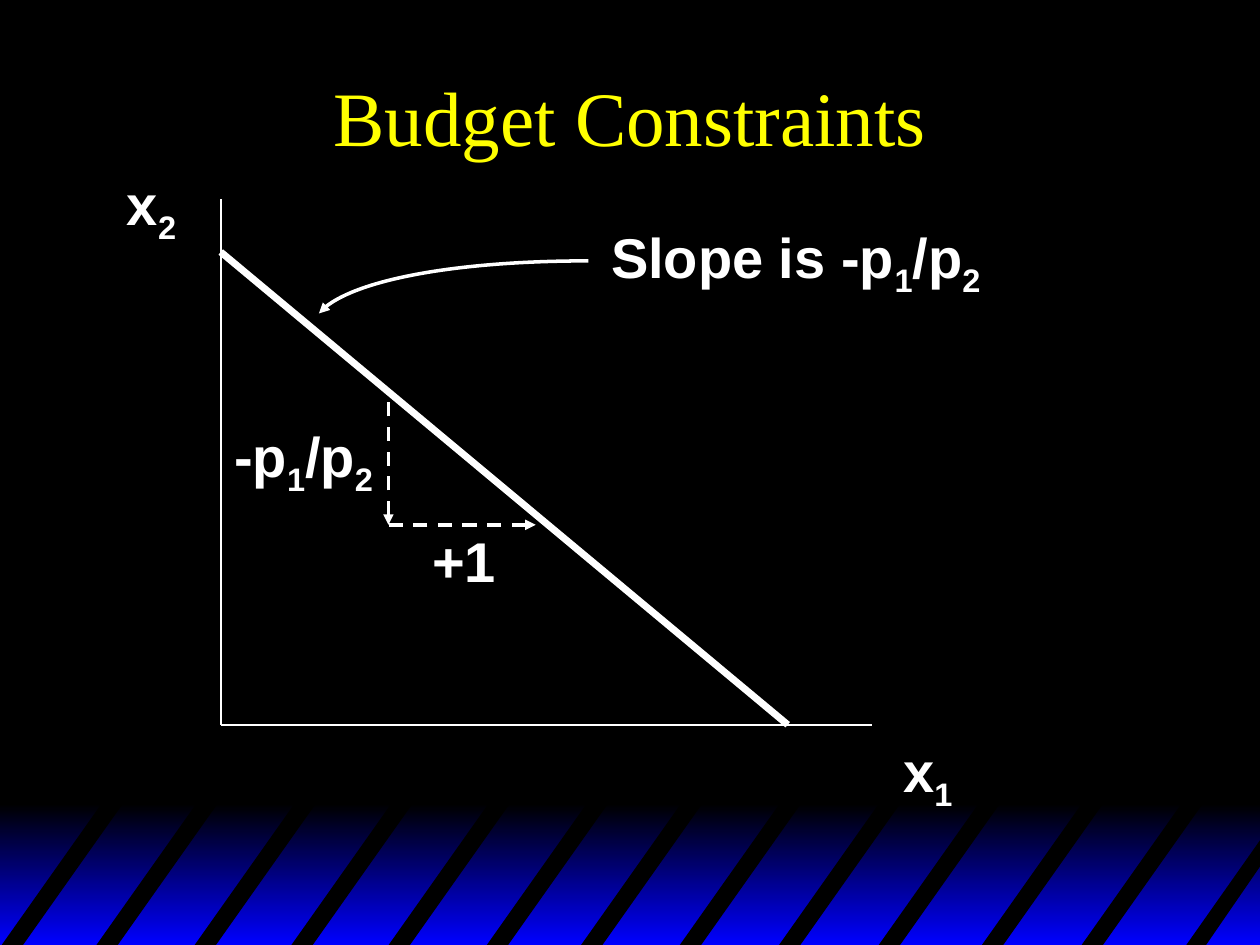
from lxml.etree import SubElement
from pptx import Presentation
from pptx.dml.color import RGBColor
from pptx.enum.dml import MSO_LINE_DASH_STYLE as Dash
from pptx.enum.shapes import MSO_CONNECTOR as Connector, MSO_SHAPE as Preset
from pptx.enum.text import MSO_ANCHOR as Anchor, MSO_AUTO_SIZE as AutoSize, PP_ALIGN as Align
from pptx.oxml.ns import qn
from pptx.util import Cm, Pt

BLACK = RGBColor(0x00, 0x00, 0x00)
BLUE = RGBColor(0x00, 0x00, 0xFF)
WHITE = RGBColor(0xFF, 0xFF, 0xFF)
YELLOW = RGBColor(0xFF, 0xFF, 0x00)

SLIDE_WIDTH, SLIDE_HEIGHT = 25.4, 19.05
ORIGIN_X, ORIGIN_Y = 4.45, 14.61
STEP_X, STEP_Y = 7.83, 10.58
STRIPE_TOP, STRIPE_BOTTOM = 16.1, 19.1
STRIPE_SLANT, STRIPE_WIDTH = 2.12, 0.43
STRIPE_LEFTS = (0, 1.91, 3.89, 5.84, 7.8, 9.78, 11.68, 13.67, 15.67, 17.68, 19.76, 21.77)
CLIPPED_STRIPE = ((23.88, 19.1), (25.45, 16.87), (25.45, 17.4), (24.28, 19.1))


class SlideBuilder:
    title_font = {"name": "Times New Roman", "size": Pt(44), "bold": False}
    label_font = {"name": "Arial", "size": Pt(32), "bold": True}

    def __init__(self, slide):
        self.slide = slide
        slide.background.fill.solid()
        slide.background.fill.fore_color.rgb = BLACK

    def gradient_band(self, left, top, width, height, colors):
        shape = self.slide.shapes.add_shape(
            Preset.RECTANGLE, Cm(left), Cm(top), Cm(width), Cm(height))
        shape.shadow.inherit = False
        shape.line.fill.background()
        shape.fill.gradient()
        shape.fill.gradient_angle = 270
        for position, (stop, color) in enumerate(zip(shape.fill.gradient_stops, colors)):
            stop.position = position
            stop.color.rgb = color

    def freeform(self, points, close):
        start, *others = [(Cm(x), Cm(y)) for x, y in points]
        builder = self.slide.shapes.build_freeform(*start)
        builder.add_line_segments(others, close=close)
        shape = builder.convert_to_shape()
        shape.shadow.inherit = False
        return shape

    def polygon(self, points, color):
        shape = self.freeform(points, close=True)
        shape.fill.solid()
        shape.fill.fore_color.rgb = color
        shape.line.fill.background()

    def curved_arrow(self, start, first_control, second_control, end, width):
        shape = self.freeform((start, first_control, second_control, end), close=False)
        shape.fill.background()
        segments = list(shape._element.iter(qn("a:lnTo")))
        curve = SubElement(segments[0].getparent(), qn("a:cubicBezTo"))
        for segment in segments:
            curve.append(segment[0])
            segment.getparent().remove(segment)
        self.style_line(shape.line, width, arrow=True)

    def line(self, start, end, width, dash=None, arrow=False):
        connector = self.slide.shapes.add_connector(
            Connector.STRAIGHT, *(Cm(value) for value in (*start, *end)))
        SubElement(connector._element.spPr, qn("a:effectLst"))
        self.style_line(connector.line, width, dash, arrow)

    def style_line(self, line, width, dash=None, arrow=False):
        line.color.rgb = WHITE
        line.width = Pt(width)
        if dash:
            line.dash_style = dash
        if arrow:
            SubElement(line._get_or_add_ln(), qn("a:headEnd"), type="triangle")

    def text_box(self, left, top, width, height, parts, font, color):
        box = self.slide.shapes.add_textbox(Cm(left), Cm(top), Cm(width), Cm(height))
        paragraph = box.text_frame.paragraphs[0]
        for index, part in enumerate(parts):
            run = paragraph.add_run()
            run.text = part
            for name, value in font.items():
                setattr(run.font, name, value)
            run.font.color.rgb = color
            if index % 2:
                run._r.get_or_add_rPr().set("baseline", "-25000")
        return box.text_frame

    def title(self, left, top, width, height, text):
        frame = self.text_box(left, top, width, height, [text], self.title_font, YELLOW)
        frame.word_wrap = True
        frame.vertical_anchor = Anchor.MIDDLE
        frame.paragraphs[0].alignment = Align.CENTER

    def label(self, left, top, width, height, *parts):
        frame = self.text_box(left, top, width, height, parts, self.label_font, WHITE)
        frame.word_wrap = False
        frame.auto_size = AutoSize.SHAPE_TO_FIT_TEXT


def main():
    presentation = Presentation()
    presentation.slide_width = Cm(SLIDE_WIDTH)
    presentation.slide_height = Cm(SLIDE_HEIGHT)
    builder = SlideBuilder(presentation.slides.add_slide(presentation.slide_layouts[6]))

    builder.gradient_band(0, 16.21, 25.45, 2.84, (BLACK, BLUE))
    for left in STRIPE_LEFTS:
        top_left = left + STRIPE_SLANT
        builder.polygon((
            (left, STRIPE_BOTTOM), (top_left, STRIPE_TOP),
            (top_left + STRIPE_WIDTH, STRIPE_TOP), (left + STRIPE_WIDTH, STRIPE_BOTTOM),
        ), BLACK)
    builder.polygon(CLIPPED_STRIPE, BLACK)

    builder.title(1.91, 0.64, 21.59, 3.38, "Budget Constraints")

    builder.line((ORIGIN_X, 4.02), (ORIGIN_X, ORIGIN_Y), 1)
    builder.line((ORIGIN_X, ORIGIN_Y), (17.57, ORIGIN_Y), 1)
    builder.label(2.31, 3.3, 1.5, 1.8, "x", "2")
    builder.label(17.96, 14.73, 1.5, 1.8, "x", "1")

    builder.line((ORIGIN_X, 5.08), (15.88, ORIGIN_Y), 4)
    builder.line((10.8, STEP_Y), (STEP_X, STEP_Y), 2, Dash.DASH, arrow=True)
    builder.line((STEP_X, STEP_Y), (STEP_X, 8.04), 2, Dash.DASH, arrow=True)

    builder.label(12.07, 4.37, 7.95, 1.8, "Slope is -p", "1", "/p", "2")
    builder.curved_arrow((6.43, 6.32), (6.93, 5.69), (9.22, 5.26), (11.86, 5.26), 2)
    builder.label(8.46, 10.49, 1.8, 1.6, "+1")
    builder.label(4.47, 8.38, 3.3, 1.8, "-p", "1", "/p", "2")

    presentation.save("out.pptx")


if __name__ == "__main__":
    main()
